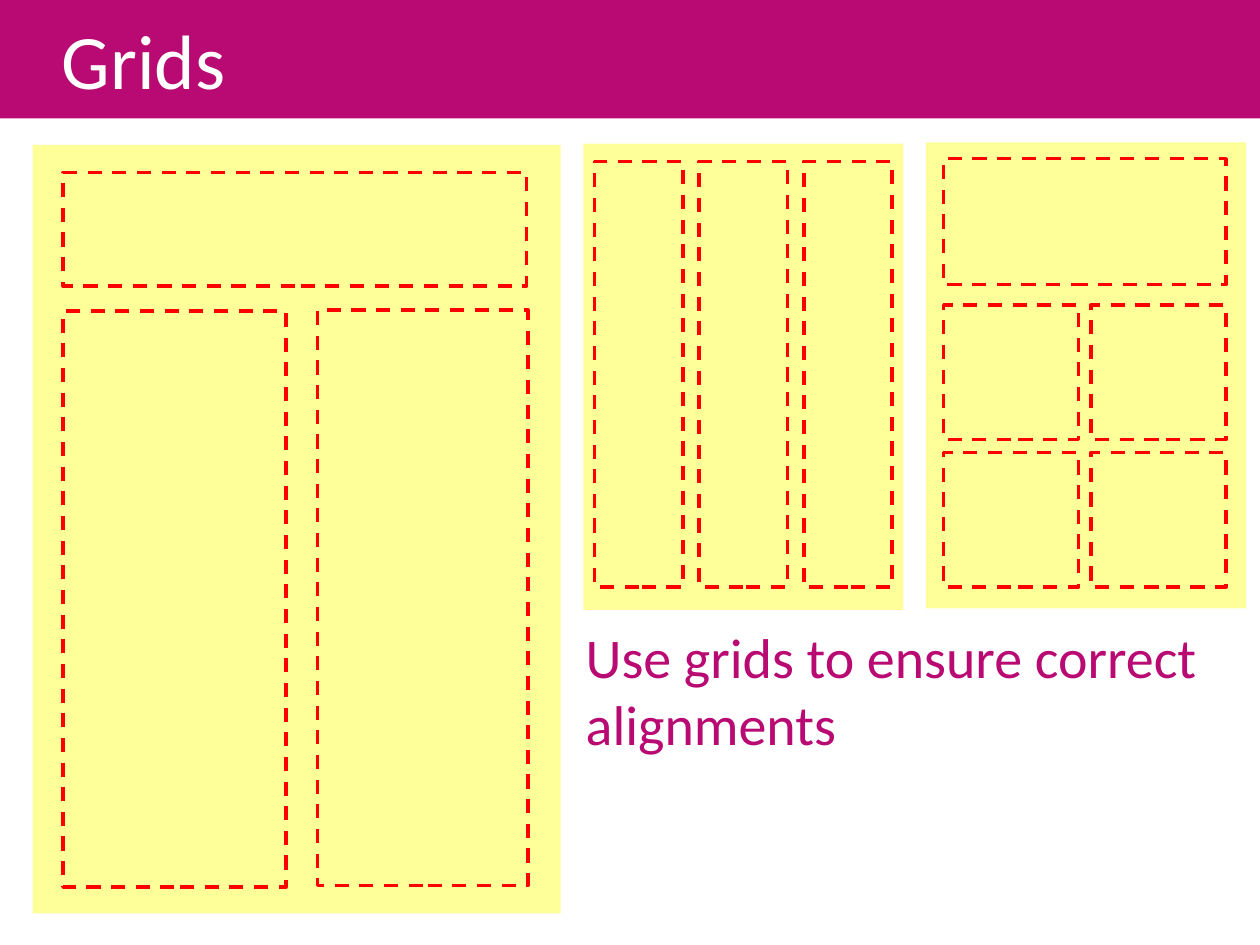
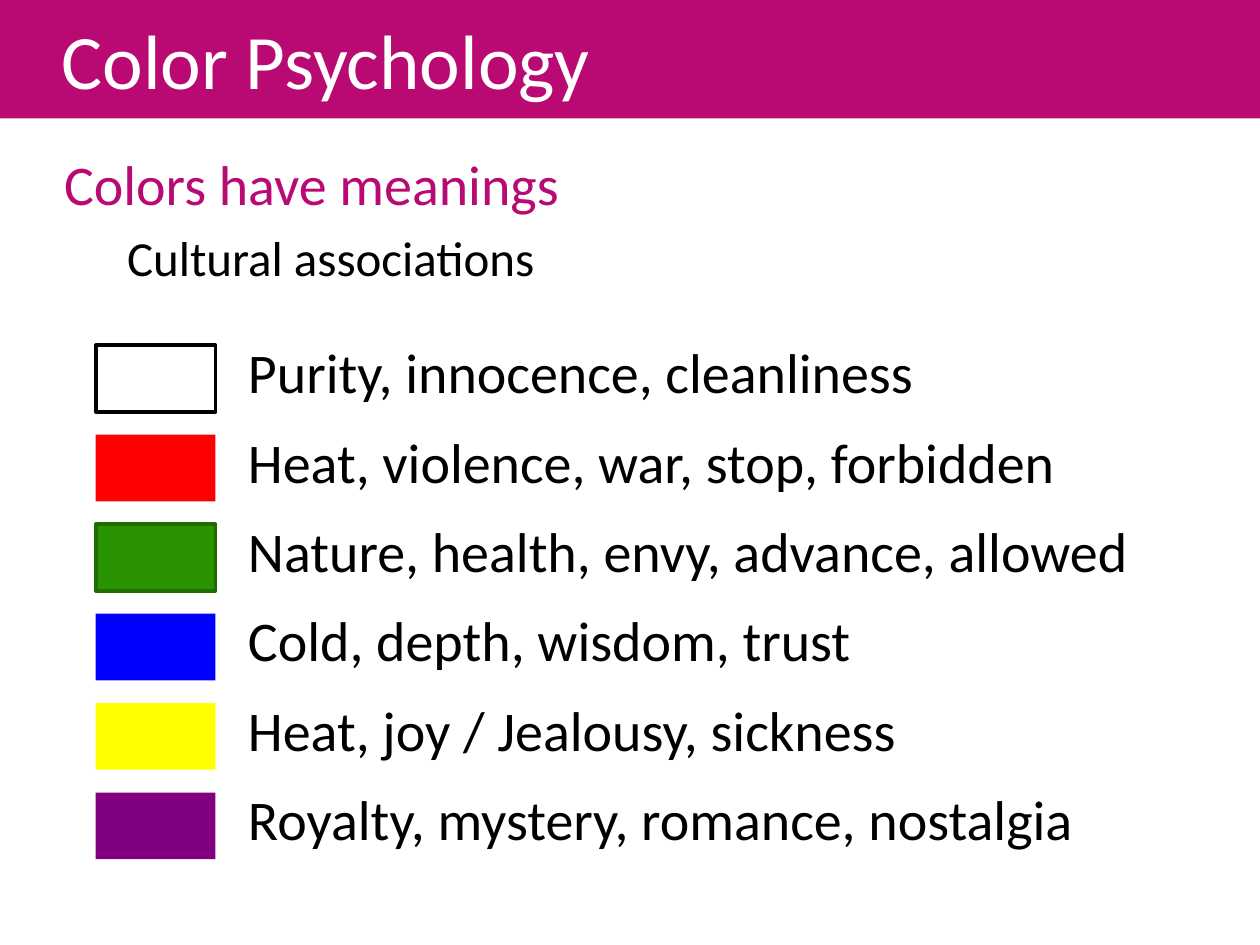
from typing import NamedTuple, Optional

import pptx
import pptx.dml.color
import pptx.enum.dml
import pptx.enum.shapes
import pptx.enum.text
import pptx.util
from pptx.util import Inches

FONT = "Calibri"
MAGENTA = "B80A72"
WHITE = "FFFFFF"
BLACK = "000000"
PAGE_YELLOW = "FFFF99"
GUIDE_RED = "FF0000"


class Box(NamedTuple):
    left: float
    top: float
    width: float
    height: float


class Swatch(NamedTuple):
    meaning: str
    fill: str
    line: Optional[str] = None


PAGES = [
    Box(0.26, 1.15, 4.19, 6.1),
    Box(4.63, 1.14, 2.54, 3.7),
    Box(7.35, 1.13, 2.54, 3.7),
]
HEADER_AND_COLUMNS = [
    Box(0.5, 1.37, 3.68, 0.9),
    Box(0.5, 2.47, 1.77, 4.57),
    Box(2.52, 2.46, 1.67, 4.57),
]
THREE_COLUMNS = [Box(4.72 + 0.83 * column, 1.28, 0.7, 3.38) for column in range(3)]
HEADER_AND_SQUARES = [Box(7.49, 1.26, 2.24, 1)] + [
    Box(7.49 + 1.17 * column, 2.42 + 1.17 * row, 1.07, 1.07)
    for row in range(2)
    for column in range(2)
]

SWATCHES = [
    Swatch("Purity, innocence, cleanliness", WHITE, BLACK),
    Swatch("Heat, violence, war, stop, forbidden", "FF0000"),
    Swatch("Nature, health, envy, advance, allowed", "2A9300", "1F6D00"),
    Swatch("Cold, depth, wisdom, trust", "0000FF"),
    Swatch("Heat, joy / Jealousy, sickness", "FFFF00"),
    Swatch("Royalty, mystery, romance, nostalgia", "800080"),
]
SWATCH_TOP = 2.74
SWATCH_PITCH = 0.71


def color(value: str) -> pptx.dml.color.RGBColor:
    return pptx.dml.color.RGBColor.from_string(value)


def add_rectangle(slide, box: Box, fill: Optional[str] = None,
                  line: Optional[str] = None, dashed: bool = False):
    shape = slide.shapes.add_shape(
        pptx.enum.shapes.MSO_SHAPE.RECTANGLE, *map(Inches, box))
    shape.shadow.inherit = False
    if fill:
        shape.fill.solid()
        shape.fill.fore_color.rgb = color(fill)
    else:
        shape.fill.background()
    if line:
        shape.line.color.rgb = color(line)
        shape.line.width = pptx.util.Pt(2)
        if dashed:
            shape.line.dash_style = pptx.enum.dml.MSO_LINE.DASH
    else:
        shape.line.fill.background()
    return shape


def add_text_box(slide, box: Box):
    shape = slide.shapes.add_textbox(*map(Inches, box))
    shape.text_frame.word_wrap = True
    return shape


def write_text(shape, text: str, size: float = 32, text_color: str = BLACK,
               new_paragraph: bool = False, space_before: float = 0,
               indent: float = 0) -> None:
    frame = shape.text_frame
    paragraph = frame.add_paragraph() if new_paragraph else frame.paragraphs[0]
    paragraph.text = text
    paragraph.alignment = pptx.enum.text.PP_ALIGN.LEFT
    if space_before:
        paragraph.space_before = pptx.util.Pt(space_before)
    if indent:
        properties = paragraph._p.get_or_add_pPr()
        properties.set("marL", str(Inches(indent)))
    font = paragraph.runs[0].font
    font.name = FONT
    font.size = pptx.util.Pt(size)
    font.color.rgb = color(text_color)


def add_titled_slide(presentation, title: str):
    slide = presentation.slides.add_slide(presentation.slide_layouts[6])
    band = add_rectangle(slide, Box(0, 0, 10, 0.94), MAGENTA)
    band.text_frame.margin_left = Inches(0.49)
    band.text_frame.vertical_anchor = pptx.enum.text.MSO_ANCHOR.MIDDLE
    write_text(band, title, size=44, text_color=WHITE)
    return slide


def build_grids(presentation) -> None:
    slide = add_titled_slide(presentation, "Grids")
    advice = add_text_box(slide, Box(4.55, 4.89, 5.18, 1.34))
    write_text(advice, "Use grids to ensure correct alignments", text_color=MAGENTA)
    for page in PAGES:
        add_rectangle(slide, page, PAGE_YELLOW)
    for guide in HEADER_AND_COLUMNS + THREE_COLUMNS + HEADER_AND_SQUARES:
        add_rectangle(slide, guide, line=GUIDE_RED, dashed=True)


def build_color_psychology(presentation) -> None:
    slide = add_titled_slide(presentation, "Color Psychology")
    body = add_text_box(slide, Box(0.41, 1.14, 9.08, 5.51))
    write_text(body, "Colors have meanings", text_color=MAGENTA)
    write_text(body, "Cultural associations", size=28, new_paragraph=True,
               space_before=6, indent=0.5)
    for row, swatch in enumerate(SWATCHES):
        top = SWATCH_TOP + SWATCH_PITCH * row
        add_rectangle(slide, Box(0.76, top, 0.95, 0.53), swatch.fill, swatch.line)
        label = add_text_box(slide, Box(1.87, top - 0.11, 8.13, 0.64))
        write_text(label, swatch.meaning)


def main() -> None:
    presentation = pptx.Presentation()
    presentation.slide_width = Inches(10)
    presentation.slide_height = Inches(7.5)
    build_grids(presentation)
    build_color_psychology(presentation)
    presentation.save("out.pptx")


if __name__ == "__main__":
    main()
